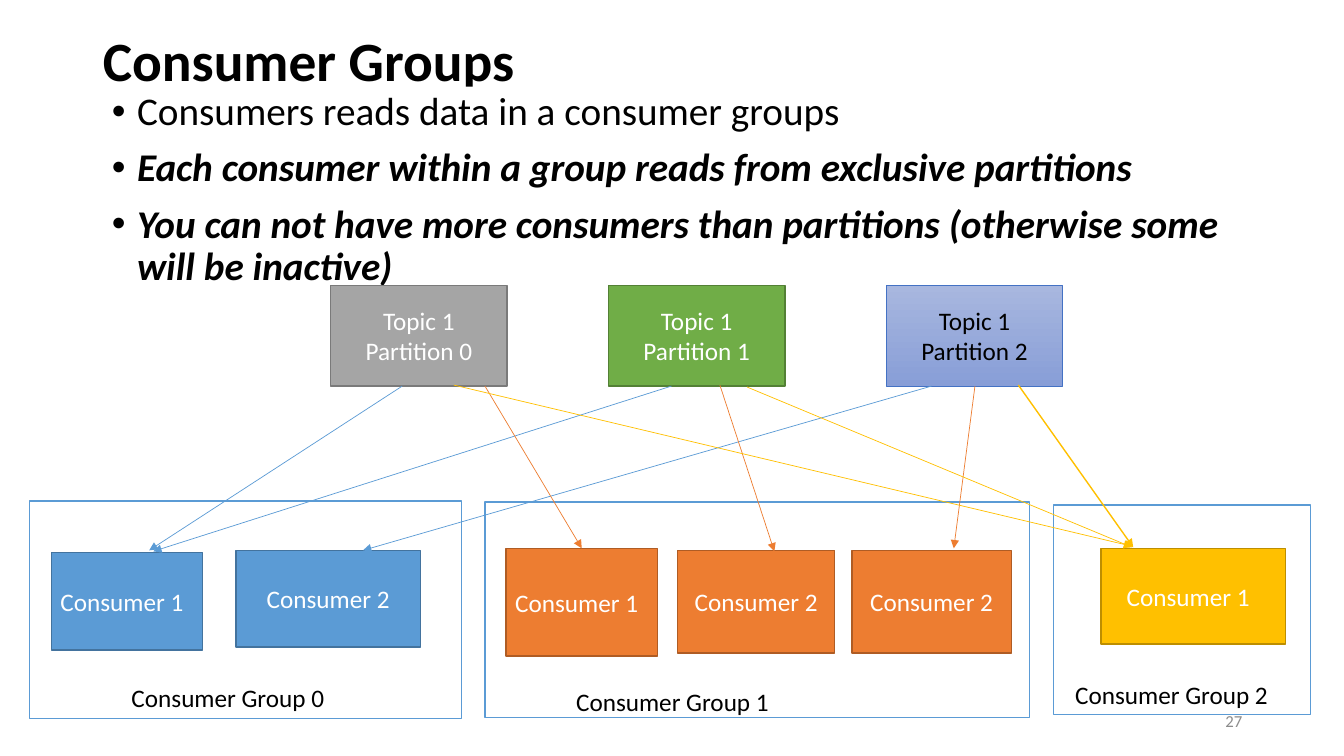
from dataclasses import dataclass
from typing import NamedTuple

from lxml.etree import SubElement
from pptx import Presentation
from pptx.dml.color import RGBColor
from pptx.enum.shapes import MSO_CONNECTOR as Connector, MSO_SHAPE as Shape
from pptx.enum.text import MSO_ANCHOR as Anchor, MSO_AUTO_SIZE as AutoSize, PP_ALIGN as Align
from pptx.oxml.ns import qn
from pptx.util import Inches, Pt


@dataclass(frozen=True)
class Theme:
    font: str = "Calibri"
    title_size: float = 39.6
    body_size: float = 28
    label_size: float = 18
    number_size: float = 12
    black: str = "000000"
    white: str = "FFFFFF"
    muted: str = "8C8C8C"
    gray: str = "A5A5A5"
    gray_edge: str = "7A7A7A"
    green: str = "70AD47"
    green_edge: str = "538035"
    indigo: tuple = ("A8B7DF", "889ED7")
    indigo_edge: str = "4472C4"
    blue: str = "5B9BD5"
    blue_edge: str = "43739E"
    orange: str = "ED7D31"
    orange_edge: str = "AF5C24"
    yellow: str = "FFC000"
    yellow_edge: str = "BD8E00"


THEME = Theme()


class Area(NamedTuple):
    left: float
    top: float
    width: float
    height: float


class Partition(NamedTuple):
    fill: str | tuple
    edge: str
    color: str = THEME.white
    edge_width: float = 1


class Consumer(NamedTuple):
    name: str
    area: Area


class Arrow(NamedTuple):
    start: tuple[float, float]
    end: tuple[float, float]
    width: float = 0.5


class Group(NamedTuple):
    area: Area
    caption_at: tuple[float, float]
    fill: str
    edge: str
    consumers: list[Consumer]
    arrows: list[Arrow]


BULLETS = [
    ("Consumers reads data in a consumer groups", False),
    ("Each consumer within a group reads from exclusive partitions", True),
    ("You can not have more consumers than partitions (otherwise some will be inactive)", True),
]

PARTITIONS = [
    Partition(THEME.gray, THEME.gray_edge),
    Partition(THEME.green, THEME.green_edge),
    Partition(THEME.indigo, THEME.indigo_edge, THEME.black, 0.5),
]
PARTITION_LEFT, PARTITION_STEP = 3.28, 2.755

GROUPS = [
    Group(Area(0.29, 4.97, 4.29, 2.16), (1.19, 6.72), THEME.blue, THEME.blue_edge,
          [Consumer("Consumer 1", Area(0.51, 5.48, 1.5, 0.97)),
           Consumer("Consumer 2", Area(2.34, 5.46, 1.83, 0.96))],
          [Arrow((3.99, 3.83), (1.48, 5.46)),
           Arrow((6.66, 3.83), (1.52, 5.47)),
           Arrow((9.24, 3.83), (3.6, 5.46))]),
    Group(Area(4.81, 4.98, 5.4, 2.14), (5.6, 6.76), THEME.orange, THEME.orange_edge,
          [Consumer("Consumer 1", Area(5.02, 5.44, 1.5, 1.07)),
           Consumer("Consumer 2", Area(6.72, 5.46, 1.56, 1.02)),
           Consumer("Consumer 2", Area(8.45, 5.46, 1.58, 1.02))],
          [Arrow((4.81, 3.83), (5.77, 5.44)),
           Arrow((7.14, 3.82), (7.68, 5.47)),
           Arrow((9.67, 3.83), (9.46, 5.44))]),
    Group(Area(10.45, 5.01, 2.55, 2.08), (10.55, 6.69), THEME.yellow, THEME.yellow_edge,
          [Consumer("Consumer 1", Area(10.92, 5.44, 1.83, 0.95))],
          [Arrow((4.5, 3.82), (11.23, 5.42)),
           Arrow((7.41, 3.84), (11.23, 5.43)),
           Arrow((10.1, 3.82), (11.24, 5.43), 1)]),
]


def rgb(value: str) -> RGBColor:
    return RGBColor.from_string(value)


def place(box, area: Area) -> None:
    box.left, box.top, box.width, box.height = map(Inches, area)


def write(para, text: str, *, size: float = THEME.label_size, color: str = THEME.black,
          bold: bool = False, italic: bool = False, align=Align.CENTER) -> None:
    para.alignment = align
    span = para.add_run()
    span.text = text
    font = span.font
    font.name, font.size, font.bold, font.italic = THEME.font, Pt(size), bold, italic
    font.color.rgb = rgb(color)


def add_box(page, area: Area, fill: str | tuple, edge: str, lines: tuple = (),
            color: str = THEME.white, edge_width: float = 1):
    """Draw a rectangle with centred lines; a pair of fills makes a vertical gradient."""
    box = page.shapes.add_shape(Shape.RECTANGLE, *map(Inches, area))
    box.shadow.inherit = False
    if isinstance(fill, tuple):
        box.fill.gradient()
        box.fill.gradient_angle = 270
        for stop, shade in zip(box.fill.gradient_stops, fill):
            stop.color.rgb = rgb(shade)
    else:
        box.fill.solid()
        box.fill.fore_color.rgb = rgb(fill)
    box.line.color.rgb = rgb(edge)
    box.line.width = Pt(edge_width)
    frame = box.text_frame
    frame.vertical_anchor = Anchor.MIDDLE
    for index, line in enumerate(lines):
        para = frame.add_paragraph() if index else frame.paragraphs[0]
        write(para, line, color=color)
    return box


def add_label(page, area: Area, text: str, *, wrap: bool = False, **style) -> None:
    frame = page.shapes.add_textbox(*map(Inches, area)).text_frame
    frame.word_wrap = wrap
    frame.vertical_anchor = Anchor.MIDDLE
    write(frame.paragraphs[0], text, **style)


def add_arrow(page, arrow: Arrow, color: str) -> None:
    line = page.shapes.add_connector(Connector.STRAIGHT, *map(Inches, arrow.start + arrow.end))
    line.line.color.rgb = rgb(color)
    line.line.width = Pt(arrow.width)
    SubElement(line.line._get_or_add_ln(), qn("a:tailEnd"), type="triangle")
    SubElement(line._element.spPr, qn("a:effectLst"))


def fill_placeholders(page) -> None:
    title, body = page.shapes.title, page.placeholders[1]
    place(title, Area(0.92, 0.4, 11.5, 0.47))
    place(body, Area(1.01, 0.86, 11.5, 6.09))
    body.fill.solid()
    body.fill.fore_color.rgb = rgb(THEME.white)
    for box in (title, body):
        box.text_frame.auto_size = AutoSize.NONE
        box.text_frame.word_wrap = True
    title.text_frame.vertical_anchor = Anchor.MIDDLE
    heading = title.text_frame.paragraphs[0]
    heading.line_spacing = 0.9
    write(heading, "Consumer Groups", size=THEME.title_size, bold=True, align=Align.LEFT)
    for index, (text, strong) in enumerate(BULLETS):
        para = body.text_frame.add_paragraph() if index else body.text_frame.paragraphs[0]
        write(para, text, size=THEME.body_size, bold=strong, italic=strong, align=Align.LEFT)
        para.line_spacing, para.space_before = 0.9, Pt(10)
        props = para._p.get_or_add_pPr()
        props.set("marL", str(Inches(0.25)))
        props.set("indent", str(Inches(-0.25)))
        SubElement(props, qn("a:buFont"), typeface="Arial")
        SubElement(props, qn("a:buChar"), char="•")


def main() -> None:
    deck = Presentation()
    deck.slide_width, deck.slide_height = Inches(13.33), Inches(7.5)
    page = deck.slides.add_slide(deck.slide_layouts[1])
    fill_placeholders(page)
    add_label(page, Area(9.42, 6.95, 3, 0.4), "27", wrap=True,
              size=THEME.number_size, color=THEME.muted, align=Align.RIGHT)
    for index, part in enumerate(PARTITIONS):
        area = Area(PARTITION_LEFT + index * PARTITION_STEP, 2.83, 1.75, 1)
        add_box(page, area, part.fill, part.edge, ("Topic 1", f"Partition {index}"),
                part.color, part.edge_width)
    for index, group in enumerate(GROUPS):
        add_box(page, group.area, THEME.white, THEME.blue)
        for consumer in group.consumers:
            box = add_box(page, consumer.area, group.fill, group.edge, (consumer.name,))
            if consumer.name == "Consumer 1":
                box.text_frame.margin_left, box.text_frame.margin_right = Inches(0.02), Inches(0.12)
        add_label(page, Area(*group.caption_at, 2.14, 0.4), f"Consumer Group {index}")
    for group in GROUPS:
        for arrow in group.arrows:
            add_arrow(page, arrow, group.fill)
    deck.save("out.pptx")


if __name__ == "__main__":
    main()
